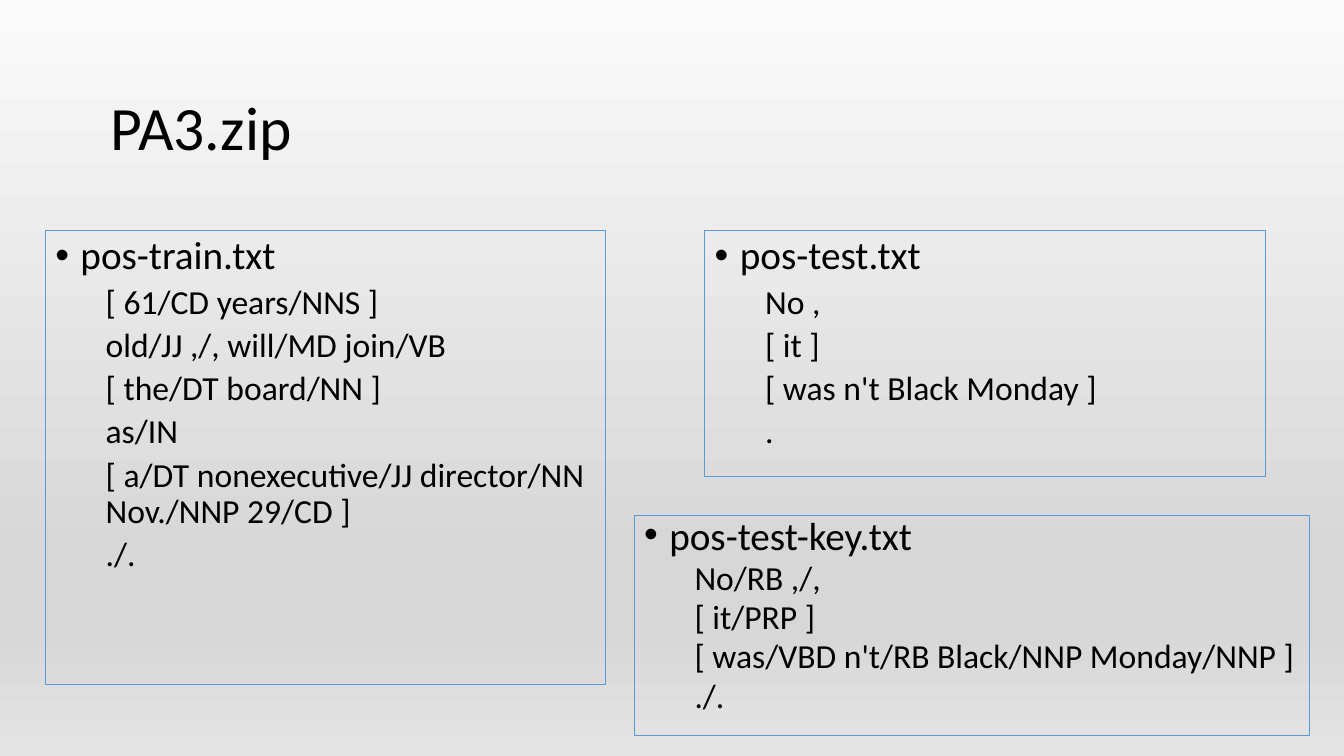
"""Build the slide that lists the text files inside PA3.zip."""
from dataclasses import dataclass

from lxml.etree import SubElement
from pptx import Presentation
from pptx.dml.color import RGBColor
from pptx.enum.text import MSO_ANCHOR as Anchor, MSO_AUTO_SIZE as AutoSize, PP_ALIGN as Align
from pptx.oxml.ns import qn
from pptx.slide import Slide
from pptx.util import Inches, Pt

COLORS = {"text": "000000", "border": "5B9BD5"}
BACKDROP = {0: "FAFAFA", 74: "D7D7D7", 83: "D7D7D7", 100: "E4E4E4"}
FONT = "Calibri"


@dataclass
class FilePanel:
    """A bordered sample of one file."""
    left: float
    top: float
    width: float
    height: float
    filename: str
    sample: list[str]
    line_spacing: float = 0.9


PANELS = [
    FilePanel(6.99, 2.29, 5.56, 2.44, "pos-test.txt",
              ["No ,", "[ it ]", "[ was n't Black Monday ]", "."]),
    FilePanel(6.29, 5.11, 6.7, 2.19, "pos-test-key.txt",
              ["No/RB ,/,", "[ it/PRP ]", "[ was/VBD n't/RB Black/NNP Monday/NNP ]", "./."], 0.8),
    FilePanel(0.45, 2.29, 5.56, 4.5, "pos-train.txt",
              ["[ 61/CD years/NNS ]", "old/JJ ,/, will/MD join/VB", "[ the/DT board/NN ]", "as/IN",
               "[ a/DT nonexecutive/JJ director/NN Nov./NNP 29/CD ]", "./."]),
]


def style_paragraph(paragraph, size: int, line_spacing: float, space_before: int) -> None:
    """Set the font and spacing of a paragraph."""
    paragraph.alignment = Align.LEFT
    paragraph.line_spacing = line_spacing
    paragraph.space_before = Pt(space_before)
    paragraph.font.name = FONT
    paragraph.font.size = Pt(size)
    paragraph.font.color.rgb = RGBColor.from_string(COLORS["text"])


def indent(paragraph, margin: float, first_line: float) -> None:
    """Set the left margin and first-line indent in inches."""
    properties = paragraph._p.get_or_add_pPr()
    properties.set("marL", str(Inches(margin)))
    properties.set("indent", str(Inches(first_line)))


def add_bullet(paragraph) -> None:
    """Put a round bullet before a paragraph."""
    properties = paragraph._p.get_or_add_pPr()
    properties.insert_element_before(SubElement(properties, qn("a:buFont"), typeface="Arial"), "a:defRPr")
    properties.insert_element_before(SubElement(properties, qn("a:buChar"), char="•"), "a:defRPr")


def paint_background(slide: Slide) -> None:
    """Fill the slide with a vertical grey gradient."""
    fill = slide.background.fill
    fill.gradient()
    fill.gradient_angle = 270
    stops = slide.element.find(f".//{qn('a:gsLst')}")
    stops.clear()
    for percent, color in BACKDROP.items():
        stop = SubElement(stops, qn("a:gs"), pos=str(percent * 1000))
        SubElement(stop, qn("a:srgbClr"), val=color)


def write_title(slide: Slide, wording: str) -> None:
    """Place and format the slide title."""
    title = slide.shapes.title
    title.left, title.top = Inches(1), Inches(0.67)
    title.width, title.height = Inches(11.33), Inches(1.25)
    frame = title.text_frame
    frame.text = wording
    frame.auto_size = AutoSize.NONE
    frame.vertical_anchor = Anchor.MIDDLE
    style_paragraph(frame.paragraphs[0], 44, 0.9, 0)


def draw_panel(slide: Slide, panel: FilePanel) -> None:
    """Draw a file name and its sample lines in a thin border."""
    box = slide.shapes.add_textbox(Inches(panel.left), Inches(panel.top),
                                   Inches(panel.width), Inches(panel.height))
    box.line.color.rgb = RGBColor.from_string(COLORS["border"])
    box.line.width = Pt(0.75)
    frame = box.text_frame
    frame.word_wrap = True
    frame.auto_size = AutoSize.NONE
    heading = frame.paragraphs[0]
    heading.text = panel.filename
    style_paragraph(heading, 28, panel.line_spacing, 10)
    indent(heading, 0.25, -0.25)
    add_bullet(heading)
    for sample_line in panel.sample:
        paragraph = frame.add_paragraph()
        paragraph.text = sample_line
        paragraph.level = 1
        style_paragraph(paragraph, 24, panel.line_spacing, 5)
        indent(paragraph, 0.5, 0)


def main() -> None:
    """Build and save the presentation."""
    deck = Presentation()
    deck.slide_width, deck.slide_height = Inches(13.33), Inches(7.5)
    slide = deck.slides.add_slide(deck.slide_layouts[5])
    paint_background(slide)
    write_title(slide, "PA3.zip")
    for panel in PANELS:
        draw_panel(slide, panel)
    deck.save("out.pptx")


if __name__ == "__main__":
    main()
